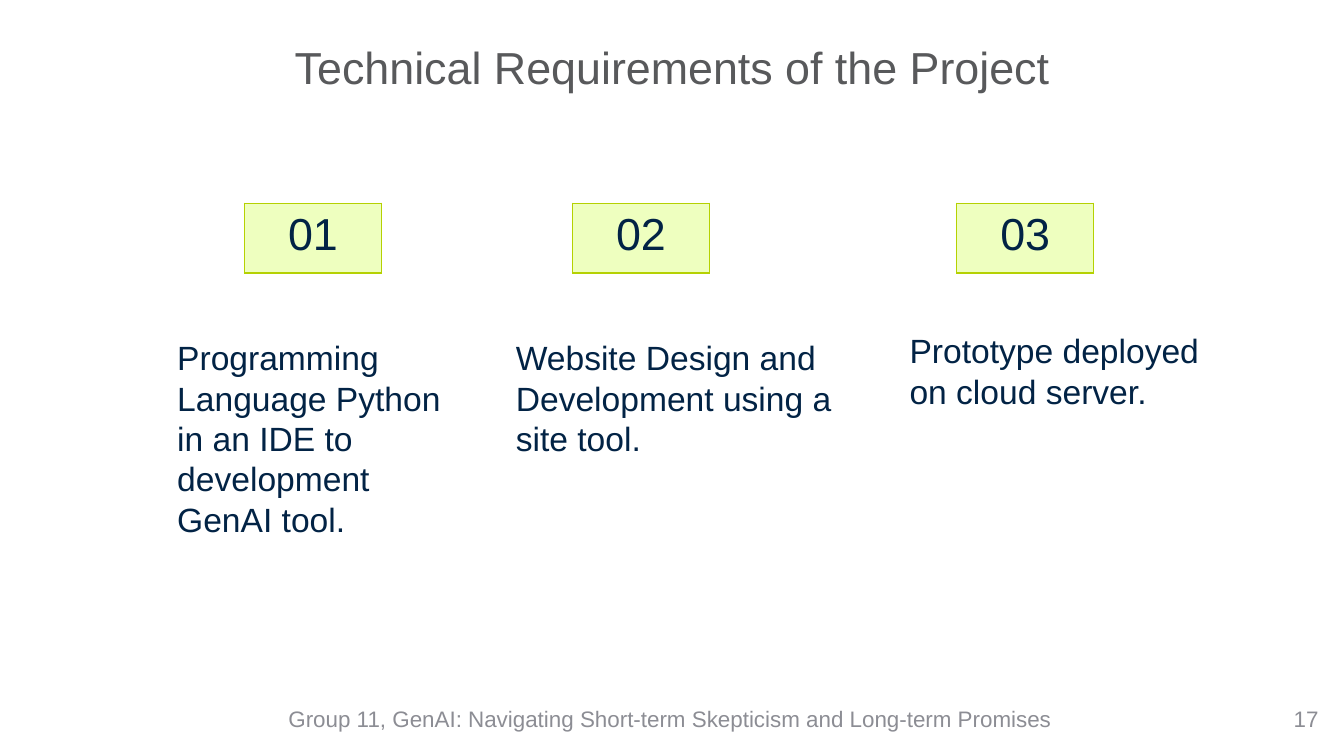
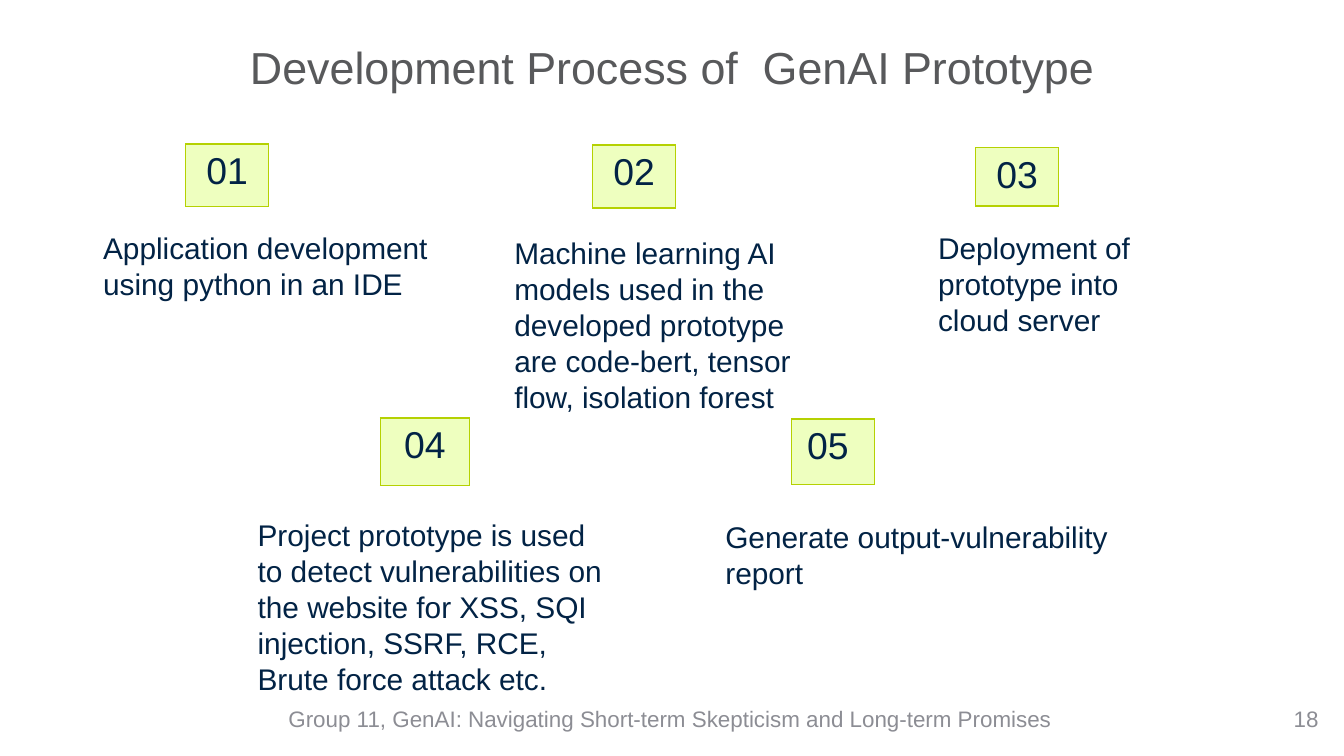
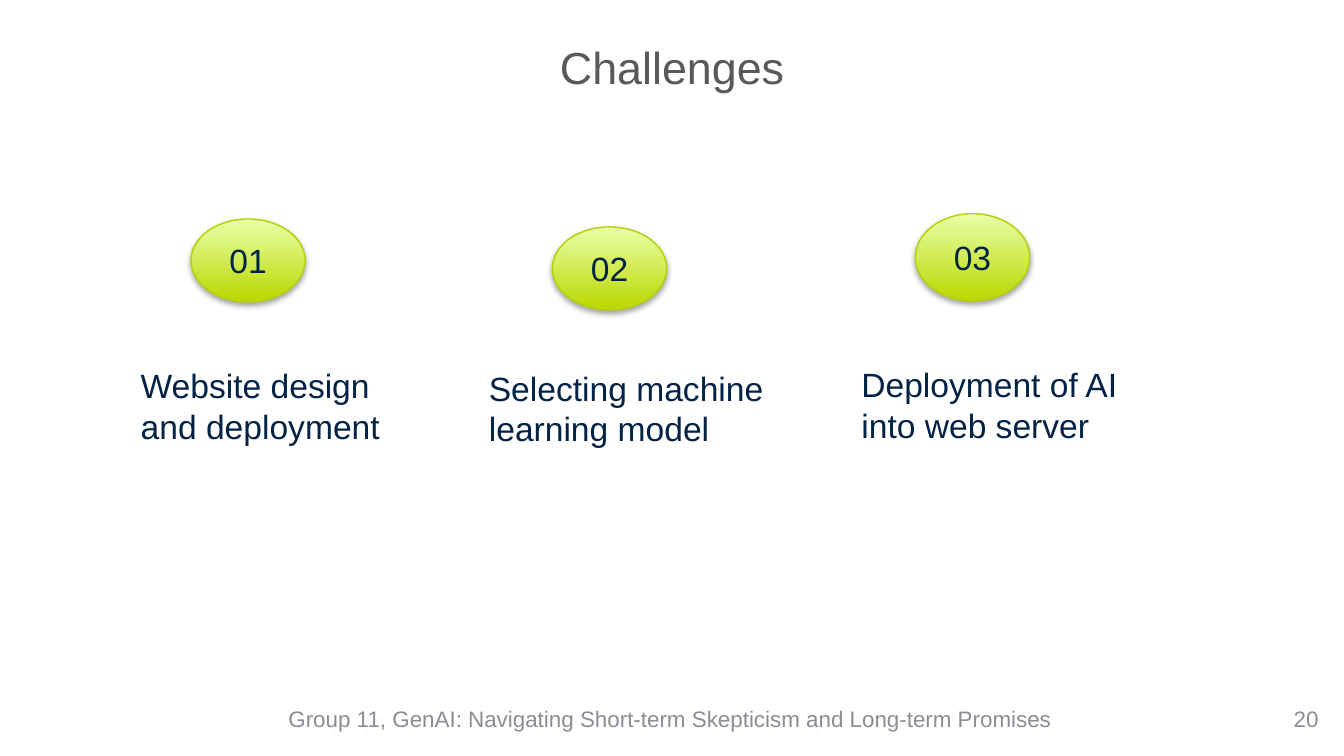
from lxml import etree
from pptx import Presentation
from pptx.dml.color import RGBColor
from pptx.enum.shapes import MSO_SHAPE
from pptx.enum.text import MSO_ANCHOR, MSO_AUTO_SIZE, PP_ALIGN
from pptx.oxml import parse_xml
from pptx.oxml.ns import nsdecls
from pptx.util import Cm, Pt

OVAL = MSO_SHAPE.OVAL
MIDDLE, TOP = MSO_ANCHOR.MIDDLE, MSO_ANCHOR.TOP
FIXED = MSO_AUTO_SIZE.NONE
GROW = MSO_AUTO_SIZE.SHAPE_TO_FIT_TEXT
LEFT, CENTER, RIGHT = PP_ALIGN.LEFT, PP_ALIGN.CENTER, PP_ALIGN.RIGHT

FONT = "Arial"
COLORS = {
    "title": "58595B",
    "foot": "8C8D94",
    "text": "022345",
    "edge": "B5D102",
    "cell": "EEFFBF",
    "dark": "BAD800",
    "light": "E9FFA7",
    "shade": "000000",
}
PAGE = (25.4, 14.29)
TITLE = (1.27, 0.58, 22.86, 1.5)
FOOT = (4.62, 13.23, 16.1, 0.76)
NUMBER = (19.25, 13.23, 5.92, 0.76)
NOTE = "Group 11, GenAI: Navigating Short-term Skepticism and Long-term Promises"
EDGE = 0.75


def tint(name):
    return RGBColor.from_string(COLORS[name])


def lengths(box):
    return [Cm(side) for side in box]


def write(frame, text, size, color, align=LEFT):
    frame.text = text
    line = frame.paragraphs[0]
    line.alignment = align
    line.font.name = FONT
    line.font.size = Pt(size)
    line.font.bold = False
    line.font.color.rgb = tint(color)
    return line


def label(slide, box, text, size, color="text", align=LEFT, anchor=TOP, fit=GROW):
    frame = slide.shapes.add_textbox(*lengths(box)).text_frame
    frame.word_wrap = True
    frame.auto_size = fit
    frame.vertical_anchor = anchor
    return write(frame, text, size, color, align)


def add_title(slide, box, text):
    title = slide.shapes.title
    title.left, title.top, title.width, title.height = lengths(box)
    frame = title.text_frame
    frame.auto_size = FIXED
    frame.vertical_anchor = MIDDLE
    write(frame, text, 24, "title", CENTER).line_spacing = 0.9


def add_foot(slide, box, text, align):
    line = label(slide, box, text, 12, "foot", align, MIDDLE, FIXED)
    line.line_spacing = 0.9
    line.space_after = Pt(6)


def outline(cell):
    props = cell._tc.get_or_add_tcPr()
    for side in ("lnL", "lnR", "lnT", "lnB"):
        props.append(parse_xml(
            f'<a:{side} {nsdecls("a")} w="{Pt(EDGE)}"><a:solidFill>'
            f'<a:srgbClr val="{COLORS["edge"]}"/></a:solidFill></a:{side}>'))


def add_tile(slide, box, text, size):
    table = slide.shapes.add_table(1, 1, *lengths(box)).table
    table.first_row = table.horz_banding = False
    cell = table.cell(0, 0)
    outline(cell)
    cell.fill.solid()
    cell.fill.fore_color.rgb = tint("cell")
    write(cell.text_frame, text, size, "text", CENTER)


def cast(shape):
    shape.shadow.inherit = False
    effects = shape._element.spPr.find("{*}effectLst")
    effects.append(etree.fromstring(
        f'<a:outerShdw {nsdecls("a")} blurRad="{Pt(3.1)}" dist="{Pt(1.8)}" '
        f'dir="5400000" rotWithShape="0"><a:srgbClr val="{COLORS["shade"]}">'
        '<a:alpha val="35000"/></a:srgbClr></a:outerShdw>'))


def add_oval(slide, box, text, size):
    oval = slide.shapes.add_shape(OVAL, *lengths(box))
    oval.fill.gradient()
    oval.fill.gradient_angle = 90
    for stop, name in zip(oval.fill.gradient_stops, ("dark", "light")):
        stop.color.rgb = tint(name)
    oval.line.color.rgb = tint("edge")
    oval.line.width = Pt(EDGE)
    cast(oval)
    oval.text_frame.vertical_anchor = MIDDLE
    write(oval.text_frame, text, size, "text", CENTER)


def add_page(deck, title, number, badge, sizes, steps):
    slide = deck.slides.add_slide(deck.slide_layouts[5])
    add_title(slide, TITLE, title)
    add_foot(slide, FOOT, NOTE, CENTER)
    add_foot(slide, NUMBER, str(number), RIGHT)
    large, small = sizes
    for mark, spot, text, box in steps:
        badge(slide, spot, mark, large)
        label(slide, box, text, small)


NEEDS = [
    ("01", (4.62, 3.84, 2.59, 1.32),
     "Programming Language Python in an IDE to development GenAI tool.",
     (3.1, 6.25, 6.1, 4.11)),
    ("02", (10.82, 3.84, 2.59, 1.32),
     "Website Design and Development using a site tool.",
     (9.5, 6.25, 6.71, 2.57)),
    ("03", (18.08, 3.84, 2.59, 1.32),
     "Prototype deployed on cloud server.",
     (16.94, 6.12, 6.5, 1.8)),
]
PROCESS = [
    ("01", (3.51, 2.72, 1.57, 1.19),
     "Application development using python in an IDE",
     (1.7, 4.22, 6.96, 1.63)),
    ("02", (11.2, 2.74, 1.57, 1.19),
     "Machine learning AI models used in the developed prototype are "
     "code-bert, tensor flow, isolation forest",
     (9.47, 4.32, 6.05, 3.68)),
    ("03", (18.44, 2.79, 1.57, 1.04),
     "Deployment of prototype into cloud server",
     (17.48, 4.22, 4.75, 2.31)),
    ("04", (7.19, 7.9, 1.68, 1.27),
     "Project prototype is used to detect vulnerabilities on the website "
     "for XSS, SQI injection, SSRF, RCE, Brute force attack etc.",
     (4.62, 9.65, 7.32, 3.68)),
    ("05 ", (14.96, 7.92, 1.57, 1.24),
     "Generate output-vulnerability report",
     (13.46, 9.68, 7.87, 1.63)),
]
HURDLES = [
    ("01", (3.61, 4.14, 2.16, 1.57),
     "Website design and deployment", (2.41, 6.78, 5.31, 1.8)),
    ("02", (10.44, 4.29, 2.16, 1.57),
     "Selecting machine learning model", (8.99, 6.83, 5.74, 1.8)),
    ("03", (17.3, 4.04, 2.16, 1.65),
     "Deployment of AI into web server", (16.03, 6.76, 5.54, 1.8)),
]


def main():
    deck = Presentation()
    deck.slide_width, deck.slide_height = lengths(PAGE)
    add_page(deck, "Technical Requirements of the Project", 17,
             add_tile, (24, 18), NEEDS)
    add_page(deck, "Development Process of  GenAI Prototype", 18,
             add_tile, (20, 16), PROCESS)
    add_page(deck, "Challenges", 20, add_oval, (18, 18), HURDLES)
    deck.save("out.pptx")


if __name__ == "__main__":
    main()
